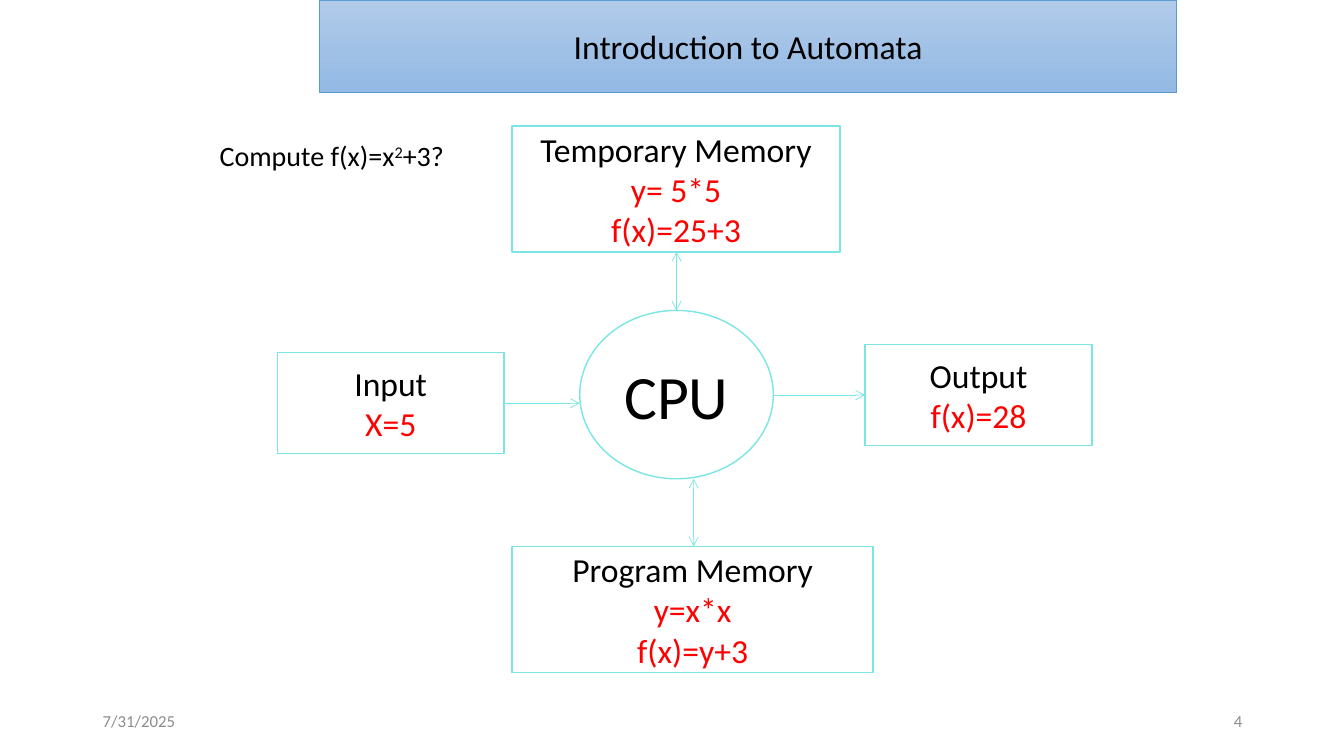
from dataclasses import dataclass

from lxml import etree
from pptx import Presentation
from pptx.dml.color import RGBColor
from pptx.enum.shapes import MSO_CONNECTOR, MSO_SHAPE
from pptx.enum.text import MSO_ANCHOR, MSO_AUTO_SIZE, PP_ALIGN
from pptx.oxml.ns import qn
from pptx.util import Inches, Pt

RECTANGLE, ELLIPSE = MSO_SHAPE.RECTANGLE, MSO_SHAPE.OVAL
STRAIGHT = MSO_CONNECTOR.STRAIGHT
LEFT, CENTER, RIGHT = PP_ALIGN.LEFT, PP_ALIGN.CENTER, PP_ALIGN.RIGHT
TOP, MIDDLE = MSO_ANCHOR.TOP, MSO_ANCHOR.MIDDLE
NO_AUTOFIT = MSO_AUTO_SIZE.NONE
TITLE_ONLY = 5


@dataclass(frozen=True)
class Theme:
    font: str = "Calibri"
    ink: str = "000000"
    value: str = "FF0000"
    muted: str = "8C8C8C"
    outline: str = "7BE5E5"
    banner_line: str = "5B9BD5"
    banner_top: str = "B1CBE9"
    banner_bottom: str = "93B9E4"
    footer_size: int = 12
    question_size: int = 20
    body_size: int = 24
    cpu_size: int = 44


THEME = Theme()


def rgb(value):
    return RGBColor.from_string(value)


def style(para, size, color, align):
    para.alignment = align
    para.font.name = THEME.font
    para.font.size = Pt(size)
    para.font.color.rgb = rgb(color)


def set_line(line, color, width):
    line.color.rgb = rgb(color)
    line.width = Pt(width)


def add_banner(page, text, left, top, width, height):
    title = page.shapes.title
    title.left, title.top = Inches(left), Inches(top)
    title.width, title.height = Inches(width), Inches(height)
    title.fill.gradient()
    title.fill.gradient_angle = 270
    for stop, color in zip(title.fill.gradient_stops,
                           (THEME.banner_top, THEME.banner_bottom)):
        stop.color.rgb = rgb(color)
    set_line(title.line, THEME.banner_line, 0.5)
    frame = title.text_frame
    frame.text = text
    frame.auto_size = NO_AUTOFIT
    frame.vertical_anchor = MIDDLE
    style(frame.paragraphs[0], THEME.body_size, THEME.ink, CENTER)


def add_unit(page, kind, left, top, width, height, lines, size=THEME.body_size):
    """Add an outlined machine part: its name, then its values in red."""
    unit = page.shapes.add_shape(kind, Inches(left), Inches(top),
                                 Inches(width), Inches(height))
    unit.shadow.inherit = False
    unit.fill.background()
    set_line(unit.line, THEME.outline, 1)
    frame = unit.text_frame
    frame.text = "\n".join(lines)
    frame.word_wrap = True
    frame.vertical_anchor = MIDDLE
    for index, para in enumerate(frame.paragraphs):
        style(para, size, THEME.value if index else THEME.ink, CENTER)


def add_arrow(page, start, end, both_ways=False):
    arrow = page.shapes.add_connector(STRAIGHT, *map(Inches, start + end))
    set_line(arrow.line, THEME.outline, 0.5)
    outline = arrow.line._get_or_add_ln()
    for tag in ("a:headEnd", "a:tailEnd") if both_ways else ("a:tailEnd",):
        etree.SubElement(outline, qn(tag), type="arrow")
    etree.SubElement(arrow._element.spPr, qn("a:effectLst"))


def add_text(page, left, top, width, height, spans, size, color,
             align=LEFT, anchor=MIDDLE):
    """Add one paragraph from (text, is_superscript) spans."""
    box = page.shapes.add_textbox(Inches(left), Inches(top),
                                  Inches(width), Inches(height))
    frame = box.text_frame
    frame.word_wrap = True
    frame.vertical_anchor = anchor
    para = frame.paragraphs[0]
    for text, is_superscript in spans:
        span = para.add_run()
        span.text = text
        if is_superscript:
            span._r.get_or_add_rPr().set("baseline", "30000")
    style(para, size, color, align)


def main():
    deck = Presentation()
    deck.slide_width, deck.slide_height = Inches(13.33), Inches(7.5)
    page = deck.slides.add_slide(deck.slide_layouts[TITLE_ONLY])

    add_banner(page, "Introduction to Automata", 3.17, 0, 8.5, 0.92)
    add_text(page, 2.08, 1.33, 2.67, 0.44,
             [("Compute f(x)=x", False), ("2", True), ("+3?", False)],
             THEME.question_size, THEME.ink, anchor=TOP)

    add_unit(page, ELLIPSE, 5.75, 3.08, 1.92, 1.67, ["CPU"], THEME.cpu_size)
    for left, top, width, height, lines in (
        (2.75, 3.5, 2.25, 1, ["Input", "X=5"]),
        (5.08, 5.42, 3.58, 1.25, ["Program Memory", "y=x*x", "f(x)=y+3"]),
        (8.58, 3.42, 2.25, 1, ["Output", "f(x)=28"]),
        (5.08, 1.25, 3.25, 1.25, ["Temporary Memory", "y= 5*5", "f(x)=25+3"]),
    ):
        add_unit(page, RECTANGLE, left, top, width, height, lines)

    add_arrow(page, (5, 4), (5.75, 4))
    add_arrow(page, (7.67, 3.92), (8.58, 3.92))
    add_arrow(page, (6.71, 2.5), (6.71, 3.08), both_ways=True)
    add_arrow(page, (6.88, 4.75), (6.88, 5.42), both_ways=True)

    for left, text, align in ((0.92, "7/31/2025", LEFT), (9.42, "4", RIGHT)):
        add_text(page, left, 6.95, 3, 0.4, [(text, False)],
                 THEME.footer_size, THEME.muted, align)

    deck.save("out.pptx")


if __name__ == "__main__":
    main()
